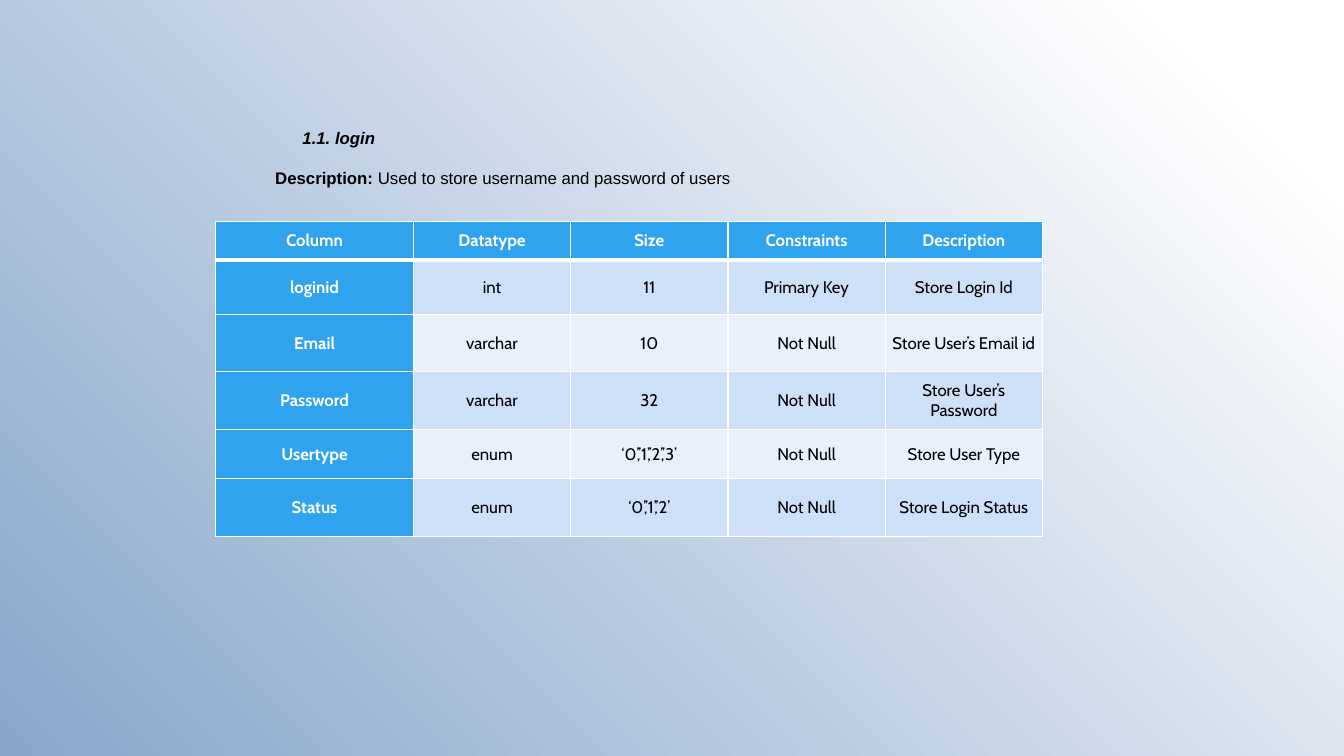
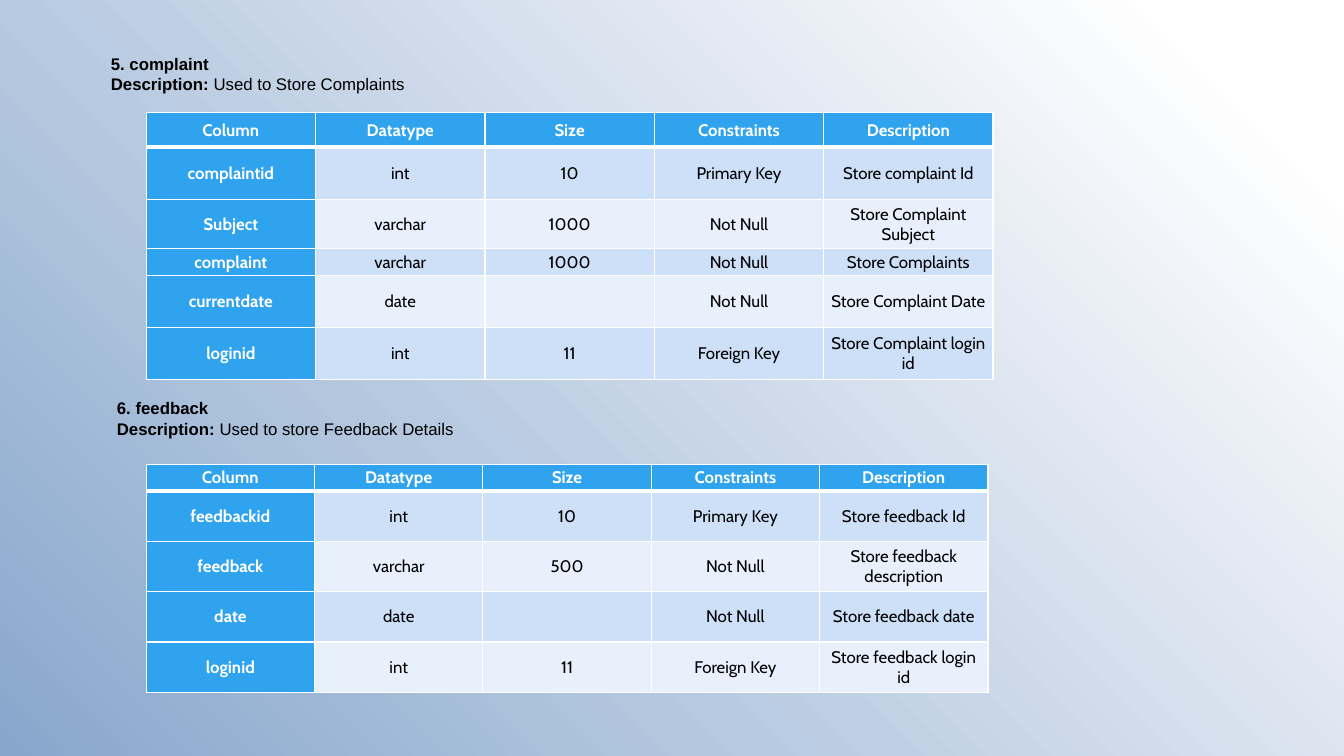
from dataclasses import dataclass

from lxml.etree import SubElement
from pptx import Presentation
from pptx.dml.color import RGBColor as Rgb
from pptx.enum.text import MSO_ANCHOR as Anchor, PP_ALIGN as Align
from pptx.oxml import parse_xml
from pptx.oxml.ns import nsdecls, qn
from pptx.util import Pt

PX = 9144
PAGE_WIDTH, PAGE_HEIGHT = 1333, 750
TEXT_SIZE = 12
HEADING_FONT, TABLE_FONT = "Arial", "Cabin"
COLORS = {
    "white": "FFFFFF",
    "black": "000000",
    "background": "88A6CC",
    "header": "2FA3EE",
    "band_dark": "CDE0F8",
    "band_light": "E8F0FC",
}
HEADER = ("Column", "Datatype", "Size", "Constraints", "Description")


@dataclass(frozen=True)
class Heading:
    left: int
    top: int
    title: str
    description: str
    numbered: bool = False
    title_indent: int = 0
    description_indent: int = 0
    gap: int = 0


@dataclass(frozen=True)
class FieldTable:
    left: int
    top: int
    first_width: int
    other_width: int
    heights: tuple[int, ...]
    fields: tuple[tuple[str, ...], ...]


PAGES = (
    (
        (
            Heading(250, 127, "1. login", "Used to store username and password of users",
                    numbered=True, title_indent=50, description_indent=23, gap=14),
            FieldTable(214, 220, 196, 156, (38, 54, 57, 57, 49, 57), (
                ("loginid", "int", "11", "Primary Key", "Store Login Id"),
                ("Email", "varchar", "10", "Not Null", "Store User’s Email id"),
                ("Password", "varchar", "32", "Not Null", "Store User’s Password"),
                ("Usertype", "enum", "‘0’,’1’,’2’,’3’", "Not Null", "Store User Type"),
                ("Status", "enum", "‘0’,’1’,’2’", "Not Null", "Store Login Status"),
            )),
        ),
    ),
    (
        (
            Heading(110, 53, "5. complaint", "Used to Store Complaints"),
            FieldTable(145, 112, 168, 168, (34, 52, 49, 26, 52, 52), (
                ("complaintid", "int", "10", "Primary Key", "Store complaint Id"),
                ("Subject", "varchar", "1000", "Not Null", "Store Complaint Subject"),
                ("complaint", "varchar", "1000", "Not Null", "Store Complaints"),
                ("currentdate", "date", "", "Not Null", "Store Complaint Date"),
                ("loginid", "int", "11", "Foreign Key", "Store Complaint login id"),
            )),
        ),
        (
            Heading(116, 395, "6. feedback", "Used to store Feedback Details"),
            FieldTable(145, 461, 167, 167, (26, 50, 50, 50, 50), (
                ("feedbackid", "int", "10", "Primary Key", "Store feedback Id"),
                ("feedback", "varchar", "500", "Not Null", "Store feedback description"),
                ("date", "date", "", "Not Null", "Store feedback date"),
                ("loginid", "int", "11", "Foreign Key", "Store feedback login id"),
            )),
        ),
    ),
)


def color(name: str) -> Rgb:
    return Rgb.from_string(COLORS[name])


def add_span(para, text: str, font: str, tint: str, bold: bool, italic: bool = False) -> None:
    span = para.add_run()
    span.text = text
    span.font.name = font
    span.font.size = Pt(TEXT_SIZE)
    span.font.bold = bold
    span.font.italic = italic
    span.font.color.rgb = color(tint)


def set_indent(para, indent: int):
    properties = para._p.get_or_add_pPr()
    properties.set("marL", str(indent * PX))
    properties.set("indent", "0")
    return properties


def draw_heading(page, heading: Heading) -> None:
    box = page.shapes.add_textbox(heading.left * PX, heading.top * PX, 600 * PX, 60 * PX)
    frame = box.text_frame
    frame.word_wrap = True
    frame.vertical_anchor = Anchor.TOP
    frame.margin_left = frame.margin_right = frame.margin_top = frame.margin_bottom = 0
    title = frame.paragraphs[0]
    properties = set_indent(title, heading.title_indent)
    if heading.numbered:
        SubElement(properties, qn("a:buAutoNum"), type="arabicPeriod")
    add_span(title, heading.title, HEADING_FONT, "black", True, heading.numbered)
    description = frame.add_paragraph()
    set_indent(description, heading.description_indent)
    description.space_before = Pt(heading.gap)
    add_span(description, "Description: ", HEADING_FONT, "black", True)
    add_span(description, heading.description, HEADING_FONT, "black", False)


def set_borders(cell, top: int, bottom: int) -> None:
    properties = cell._tc.get_or_add_tcPr()
    widths = {"lnL": 1, "lnR": 1, "lnT": top, "lnB": bottom}
    for index, (side, width) in enumerate(widths.items()):
        properties.insert(index, parse_xml(
            f'<a:{side} {nsdecls("a")} w="{Pt(width)}"><a:solidFill>'
            f'<a:srgbClr val="{COLORS["white"]}"/></a:solidFill></a:{side}>'
        ))


def draw_cell(cell, text: str, row: int, column: int) -> None:
    strong = row == 0 or column == 0
    band = "band_dark" if row % 2 else "band_light"
    cell.fill.solid()
    cell.fill.fore_color.rgb = color("header" if strong else band)
    cell.vertical_anchor = Anchor.MIDDLE
    cell.margin_left = cell.margin_right = 7 * PX
    cell.margin_top = cell.margin_bottom = 0
    set_borders(cell, top=3 if row == 1 else 1, bottom=3 if row == 0 else 1)
    para = cell.text_frame.paragraphs[0]
    para.alignment = Align.CENTER
    if text:
        add_span(para, text, TABLE_FONT, "white" if strong else "black", strong)


def draw_table(page, layout: FieldTable) -> None:
    rows = (HEADER, *layout.fields)
    widths = [layout.first_width] + [layout.other_width] * (len(HEADER) - 1)
    table = page.shapes.add_table(
        len(rows), len(HEADER), layout.left * PX, layout.top * PX,
        sum(widths) * PX, sum(layout.heights) * PX,
    ).table
    table.first_col = True
    table.horz_banding = False
    for column, width in zip(table.columns, widths):
        column.width = width * PX
    for row, height in zip(table.rows, layout.heights):
        row.height = height * PX
    for row, values in enumerate(rows):
        for column, text in enumerate(values):
            draw_cell(table.cell(row, column), text, row, column)


def set_background(deck) -> None:
    fill = deck.slide_master.background.fill
    fill.gradient()
    fill.gradient_angle = 225
    stops = ((0.09, "white"), (1.0, "background"))
    for stop, (position, name) in zip(fill.gradient_stops, stops):
        stop.position = position
        stop.color.rgb = color(name)


def main() -> None:
    deck = Presentation()
    deck.slide_width = PAGE_WIDTH * PX
    deck.slide_height = PAGE_HEIGHT * PX
    set_background(deck)
    for sections in PAGES:
        page = deck.slides.add_slide(deck.slide_layouts[6])
        for heading, layout in sections:
            draw_heading(page, heading)
            draw_table(page, layout)
    deck.save("out.pptx")


if __name__ == "__main__":
    main()
